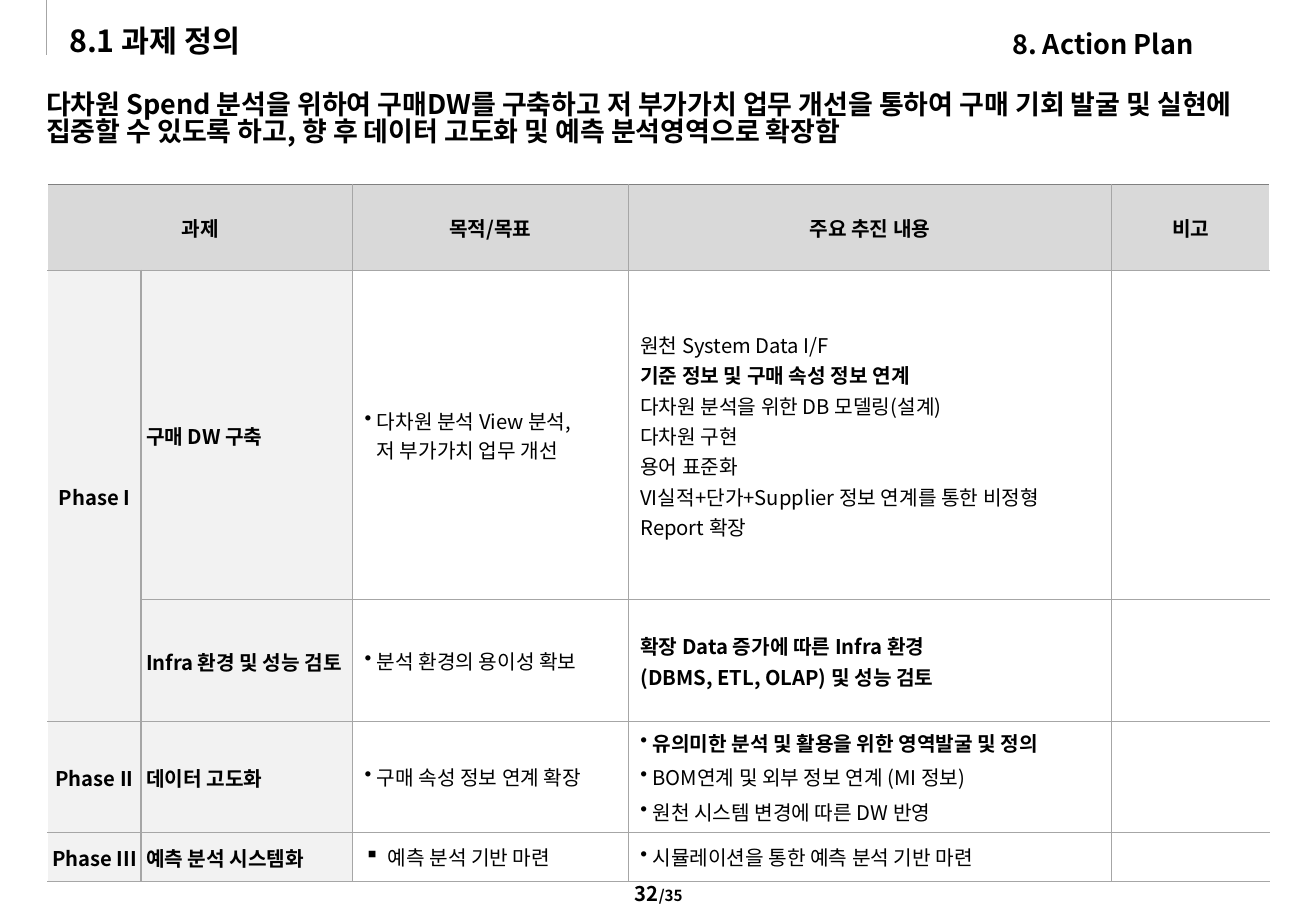
from lxml import etree
from pptx import Presentation
from pptx import util as u
from pptx.dml.color import RGBColor
from pptx.enum import shapes, text
from pptx.oxml import ns

Pt = u.Pt
FONT = "Noto Sans CJK KR"
COLORS = {"ink": "000000", "paper": "FFFFFF", "rule": "A6A6A6", "top": "808080",
          "header": "D9D9D9", "label": "F2F2F2"}
LEFT, CENTER = text.PP_ALIGN.LEFT, text.PP_ALIGN.CENTER
COLUMNS = [55.4, 125.3, 163.4, 286.6, 93.6]
ROWS = [51, 195.2, 72.3, 65.7, 25]
DOT = {"bullet": "•", "indent": 7.2}
SQUARE = {"bullet": "▪", "indent": 13.7}
FIXED = {"line": Pt(18)}
BOLD = {"bold": True}

HEADERS = {0: "과제", 2: "목적/목표", 3: "주요 추진 내용", 4: "비고"}
PHASES = {1: "Phase I", 3: "Phase II", 4: "Phase III"}
TASKS = ["구매 DW 구축", "Infra 환경 및 성능 검토", "데이터 고도화", "예측 분석 시스템화"]
GOALS = [
    ("다차원 분석 View 분석,\n저 부가가치 업무 개선", DOT),
    ("분석 환경의 용이성 확보", DOT),
    ("구매 속성 정보 연계 확장", DOT),
    ("예측 분석 기반 마련", SQUARE),
]
ACTIONS = [
    [("원천 System Data I/F", FIXED),
     ("기준 정보 및 구매 속성 정보 연계", FIXED | BOLD),
     ("다차원 분석을 위한 DB 모델링(설계)", FIXED),
     ("다차원 구현", FIXED),
     ("용어 표준화", FIXED),
     ("VI실적+단가+Supplier 정보 연계를 통한 비정형 Report 확장", FIXED)],
    [("확장 Data 증가에 따른 Infra 환경\n(DBMS, ETL, OLAP) 및 성능 검토", FIXED | BOLD)],
    [("유의미한 분석 및 활용을 위한 영역발굴 및 정의", DOT | BOLD),
     ("BOM연계 및 외부 정보 연계 (MI 정보)", DOT | {"before": 3}),
     ("원천 시스템 변경에 따른 DW 반영", DOT | {"before": 3})],
    [("시뮬레이션을 통한 예측 분석 기반 마련", DOT)],
]


def sub(parent, tag, **attrs):
    return etree.SubElement(parent, ns.qn(tag), attrs)


def add_run(p, words, size, bold):
    r = p.add_run()
    r.text = words
    r.font.name = FONT
    r.font.size = Pt(size)
    r.font.bold = bold
    r.font.color.rgb = RGBColor.from_string(COLORS["ink"])
    sub(r.font._element, "a:ea", typeface=FONT)


def write(tf, words, size=12, bold=False, align=LEFT, line=None, before=0,
          bullet=None, indent=0, new=False):
    p = tf.add_paragraph() if new else tf.paragraphs[0]
    pPr = p._p.get_or_add_pPr()
    pPr.set("marL", str(Pt(indent)))
    pPr.set("indent", str(-Pt(indent)))
    if bullet:
        sub(pPr, "a:buChar", char=bullet)
    else:
        sub(pPr, "a:buNone")
    p.alignment = align
    p.space_before = Pt(before)
    if line:
        p.line_spacing = line
    for i, part in enumerate(words.split("\n")):
        if i:
            p.add_line_break()
        add_run(p, part, size, bold)
    return p


def place(sp, left, top, width, height, anchor=text.MSO_ANCHOR.MIDDLE):
    sp.left, sp.top, sp.width, sp.height = Pt(left), Pt(top), Pt(width), Pt(height)
    tf = sp.text_frame
    tf.margin_left = tf.margin_right = tf.margin_top = tf.margin_bottom = 0
    tf.word_wrap = True
    tf.auto_size = text.MSO_AUTO_SIZE.NONE
    tf.vertical_anchor = anchor
    return tf


def add_text_box(s, left, top, width, height):
    return place(s.shapes.add_textbox(0, 0, 0, 0), left, top, width, height)


def add_rule(s, x, top, bottom):
    c = s.shapes.add_connector(shapes.MSO_CONNECTOR.STRAIGHT, Pt(x), Pt(top), Pt(x), Pt(bottom))
    c.line.color.rgb = RGBColor.from_string(COLORS["rule"])
    c.line.width = Pt(0.5)
    sub(c._element.spPr, "a:effectLst")


def set_borders(cell, **edges):
    tcPr = cell._tc.get_or_add_tcPr()
    for i, side in enumerate("LRTB"):
        ln = etree.Element(ns.qn("a:ln" + side), w=str(Pt(1)))
        fill = sub(ln, "a:solidFill")
        sub(fill, "a:srgbClr", val=COLORS[edges.get(side, "rule")])
        tcPr.insert(i, ln)


def style_cell(cell, row, col):
    fill = "header" if row == 0 else "label" if col < 2 else "paper"
    cell.fill.solid()
    cell.fill.fore_color.rgb = RGBColor.from_string(COLORS[fill])
    cell.vertical_anchor = text.MSO_ANCHOR.MIDDLE
    if row and col < 2:
        cell.margin_left = cell.margin_right = Pt(2.9 * col)
    edges = {}
    if col == 0:
        edges["L"] = "paper"
    if col == len(COLUMNS) - 1:
        edges["R"] = "paper"
    if row == 0:
        edges["T"] = "top"
    set_borders(cell, **edges)


def add_plan_table(s):
    frame = s.shapes.add_table(len(ROWS), len(COLUMNS), Pt(28.3), Pt(109.3),
                               Pt(sum(COLUMNS)), Pt(sum(ROWS)))
    table = frame.table
    table.first_row = table.horz_banding = False
    for column, width in zip(table.columns, COLUMNS):
        column.width = Pt(width)
    for i, height in enumerate(ROWS):
        table.rows[i].height = Pt(height)
        for j in range(len(COLUMNS)):
            style_cell(table.cell(i, j), i, j)
    table.cell(0, 0).merge(table.cell(0, 1))
    table.cell(1, 0).merge(table.cell(2, 0))

    for col, words in HEADERS.items():
        write(table.cell(0, col).text_frame, words, bold=True, align=CENTER)
    for row, words in PHASES.items():
        write(table.cell(row, 0).text_frame, words, bold=True, align=CENTER, **FIXED)
    for row, (task, (goal, style), actions) in enumerate(zip(TASKS, GOALS, ACTIONS), 1):
        write(table.cell(row, 1).text_frame, task, bold=True, **FIXED)
        write(table.cell(row, 2).text_frame, goal, **style)
        for i, (words, fmt) in enumerate(actions):
            write(table.cell(row, 3).text_frame, words, new=i > 0, **fmt)


def main():
    prs = Presentation()
    prs.slide_width, prs.slide_height = Pt(780), Pt(540)
    s = prs.slides.add_slide(prs.slide_layouts[1])
    title, body = s.placeholders

    tf = add_text_box(s, 309, 517.5, 163, 24)
    page = write(tf, "32", bold=True, align=CENTER)
    add_run(page, "/35", 9, True)
    add_rule(s, 27.3, 0, 32.5)
    write(place(title, 41, 13, 536, 21.6), "8.1 과제 정의", size=18, bold=True)
    write(place(body, 27.3, 54.7, 726, 54.7, text.MSO_ANCHOR.TOP),
          "다차원 Spend 분석을 위하여 구매DW를 구축하고 저 부가가치 업무 개선을 통하여 "
          "구매 기회 발굴 및 실현에 집중할 수 있도록 하고, 향 후 데이터 고도화 및 "
          "예측 분석영역으로 확장함", size=16, bold=True, line=0.85)
    add_plan_table(s)
    write(add_text_box(s, 600, 16, 171, 19.4), "8. Action Plan", size=16, bold=True)
    prs.save("out.pptx")


if __name__ == "__main__":
    main()
